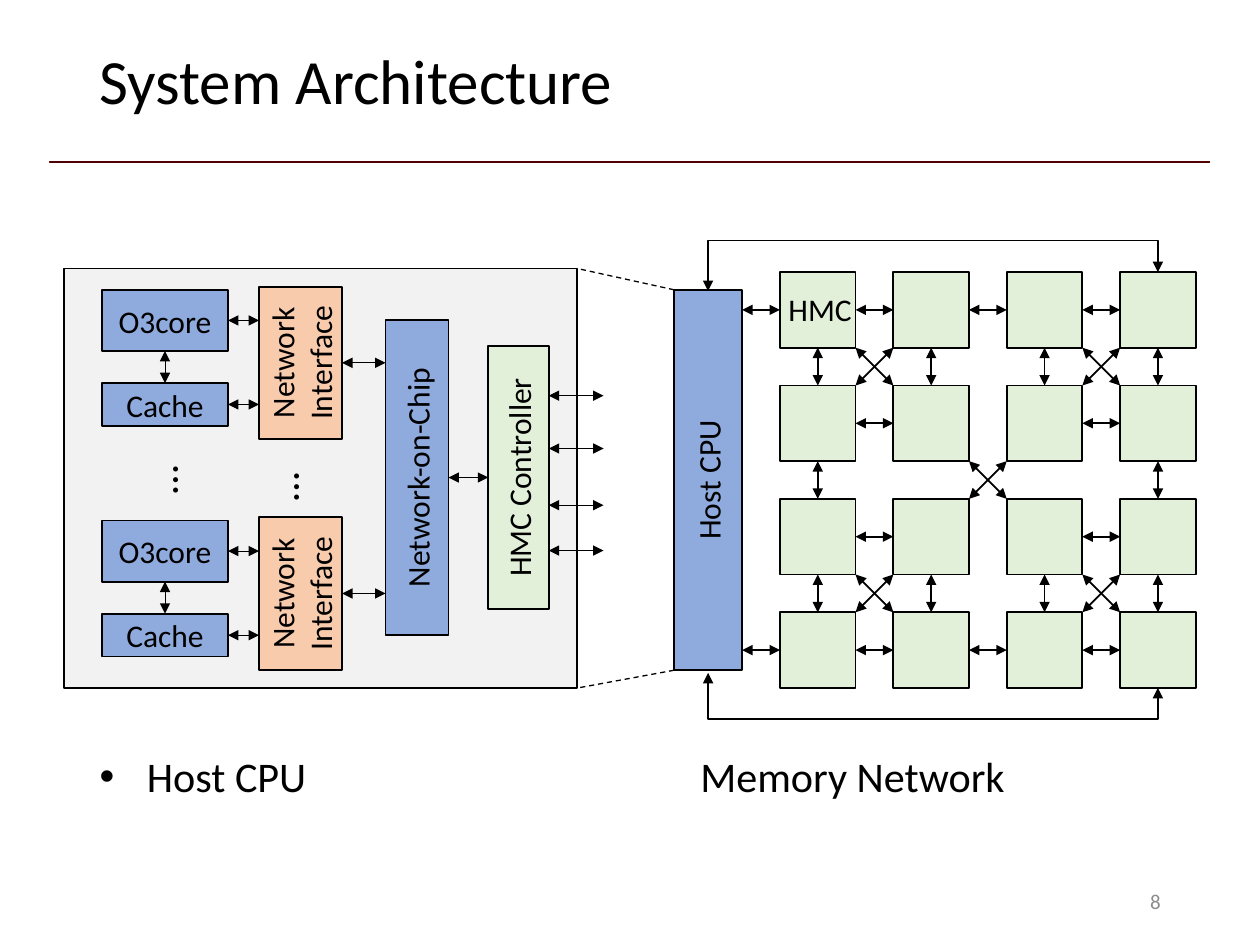
"""Build the System Architecture slide: a host CPU block diagram beside its memory network."""
from dataclasses import dataclass
from enum import IntEnum
from itertools import product
from typing import Any, NamedTuple, Optional

from lxml.etree import SubElement
from pptx import Presentation
from pptx.dml.color import RGBColor as Rgb
from pptx.enum.dml import MSO_LINE_DASH_STYLE as Dash
from pptx.enum.shapes import MSO_CONNECTOR_TYPE as Wire, MSO_SHAPE as Preset
from pptx.enum.text import MSO_ANCHOR as Anchor, MSO_AUTO_SIZE as Fit, PP_ALIGN as Align
from pptx.oxml.ns import qn
from pptx.util import Pt


@dataclass(frozen=True)
class Theme:
    font: str = "Calibri"
    ink: str = "000000"
    rule: str = "500000"
    panel: str = "F2F2F2"
    blue: str = "8FAADC"
    green: str = "E2F0D9"
    orange: str = "F8CBAD"
    gray: str = "8C8C8C"
    title: float = 36
    caption: float = 24.1
    dots: float = 24
    label: float = 18
    number: float = 12
    thick: float = 1
    dashed: float = 0.75
    thin: float = 0.5


class Side(IntEnum):
    TOP = 0
    LEFT = 1
    BOTTOM = 2
    RIGHT = 3


class Box(NamedTuple):
    left: float
    top: float
    width: float
    height: float

    def turned(self) -> "Box":
        shift = (self.width - self.height) / 2
        return Box(self.left + shift, self.top - shift, self.height, self.width)


class Port(NamedTuple):
    x: float
    y: float
    shape: Any = None
    site: int = 0


@dataclass(frozen=True)
class Node:
    shape: Any
    box: Box
    upright: bool

    def port(self, side: Side) -> Port:
        left, top, width, height = self.box
        x = left + width * {Side.LEFT: 0, Side.RIGHT: 1}.get(side, 0.5)
        y = top + height * {Side.TOP: 0, Side.BOTTOM: 1}.get(side, 0.5)
        return Port(x, y, self.shape, (side + 3) % 4 if self.upright else int(side))


THEME = Theme()
CELL, PITCH = 43.2, 64.8
GRID_LEFT, GRID_TOP = 445.7, 155.5
BLOCK_PITCH = 131.8


def write(frame: Any, text: str, size: float, color: str = THEME.ink,
          align: Optional[Align] = None, spacing: Optional[float] = None) -> None:
    frame.text = text
    for para in frame.paragraphs:
        para.alignment = align
        para.line_spacing = spacing
        for span in para.runs:
            span.font.name, span.font.size = THEME.font, Pt(size)
            span.font.color.rgb = Rgb.from_string(color)


def place(shape: Any, box: Box) -> None:
    shape.left, shape.top, shape.width, shape.height = map(Pt, box)


def add_node(page: Any, box: Box, fill: str, text: str = "", upright: bool = False,
             line: str = THEME.ink) -> Node:
    frame_box = box.turned() if upright else box
    shape = page.shapes.add_shape(Preset.RECTANGLE, *map(Pt, frame_box))
    shape.rotation = 270 if upright else 0
    shape.shadow.inherit = False
    shape.fill.solid()
    shape.fill.fore_color.rgb = Rgb.from_string(fill)
    shape.line.color.rgb = Rgb.from_string(line)
    shape.line.width = Pt(THEME.thick)
    if text:
        shape.text_frame.vertical_anchor = Anchor.MIDDLE
        write(shape.text_frame, text, THEME.label, align=Align.CENTER)
    return Node(shape, box, upright)


def add_text(page: Any, box: Box, text: str, size: float, wrap: bool = True,
             rotation: float = 0, **style: Any) -> Any:
    shape = page.shapes.add_textbox(*map(Pt, box))
    shape.rotation = rotation
    shape.text_frame.word_wrap = wrap
    write(shape.text_frame, text, size, **style)
    return shape


def style_line(connector: Any, width: float, dashed: bool = False) -> None:
    connector.line.color.rgb = Rgb.from_string(THEME.ink)
    connector.line.width = Pt(width)
    properties = connector._element.spPr
    if dashed:
        connector.line.dash_style = Dash.DASH
    else:
        for end in ("a:headEnd", "a:tailEnd"):
            SubElement(properties.find(qn("a:ln")), qn(end), type="triangle")
    SubElement(properties, qn("a:effectLst"))


def link(page: Any, start: Port, end: Port, width: float = THEME.thick, dashed: bool = False) -> None:
    points = tuple(map(Pt, (start.x, start.y, end.x, end.y)))
    connector = page.shapes.add_connector(Wire.STRAIGHT, *points)
    if start.shape is not None:
        connector.begin_connect(start.shape, start.site)
    if end.shape is not None:
        connector.end_connect(end.shape, end.site)
    connector.begin_x, connector.begin_y, connector.end_x, connector.end_y = points
    style_line(connector, width, dashed)


def detour(page: Any, start: Port, end: Port, level: float) -> None:
    """Draw a three-part elbow that leaves vertically and crosses at the given level."""
    rise, run = abs(end.y - start.y), end.x - start.x
    mid_x, mid_y = (start.x + end.x) / 2, (start.y + end.y) / 2
    upward = level < start.y
    first, last = (mid_y + run / 2, mid_y - run / 2)[::1 if upward else -1]
    connector = page.shapes.add_connector(
        Wire.ELBOW, Pt(mid_x + rise / 2), Pt(first), Pt(mid_x - rise / 2), Pt(last))
    properties = connector._element.spPr
    properties.find(qn("a:xfrm")).set("rot", str((90 if upward else 270) * 60000))
    guides = properties.find(qn("a:prstGeom")).find(qn("a:avLst"))
    ratio = round(abs(level - start.y) / rise * 100000)
    SubElement(guides, qn("a:gd"), name="adj1", fmla=f"val {ratio}")
    style_line(connector, THEME.thick)


def caption(shape: Any, text: str) -> None:
    frame = shape.text_frame
    frame.word_wrap, frame.auto_size = True, Fit.NONE
    frame.text = text
    properties = frame.paragraphs[0]._p.get_or_add_pPr()
    properties.set("marL", str(Pt(72)))
    properties.set("indent", "0")
    SubElement(properties, qn("a:buNone"))
    frame.paragraphs[0].space_before = Pt(0)
    write(frame, text, THEME.caption, spacing=0.85)


def draw_host(page: Any) -> None:
    chip = add_node(page, Box(220.3, 182.9, 36, 180), THEME.blue, "Network-on-Chip", True)
    controller = add_node(page, Box(279, 197.6, 34.6, 150.5), THEME.green, "HMC Controller", True)
    for shift in (0, BLOCK_PITCH):
        core = add_node(page, Box(58.3, 165.6, 72, 35)._replace(top=165.6 + shift), THEME.blue, "O3core")
        cache = add_node(page, Box(58.3, 218.9 + shift, 72, 24.5), THEME.blue, "Cache")
        interface = add_node(page, Box(148, 163.8 + shift, 47.5, 87.1), THEME.orange,
                             "Network\nInterface", True)
        link(page, core.port(Side.BOTTOM), cache.port(Side.TOP), THEME.thin)
        for source in (core, cache):
            start = source.port(Side.RIGHT)
            link(page, start, Port(interface.box.left, start.y), THEME.thin)
        start = interface.port(Side.RIGHT)
        link(page, start, Port(chip.box.left, start.y), THEME.thin)
    link(page, chip.port(Side.RIGHT), controller.port(Side.LEFT), THEME.thin)
    for y in (226.1, 256.3, 288.7, 314.6):
        link(page, Port(controller.port(Side.RIGHT).x, y), Port(344.9, y), THEME.thin)
    for left, top in ((76.3, 255.6), (145.4, 259.9)):
        add_text(page, Box(left, top, 31.7, 36), "…", THEME.dots, wrap=False, rotation=270)


def draw_memory(page: Any, host: Node) -> None:
    cells = {(row, col): add_node(page, Box(GRID_LEFT + col * PITCH, GRID_TOP + row * PITCH, CELL, CELL),
                                  THEME.green) for row, col in product(range(4), repeat=2)}
    for major, minor in product(range(4), range(3)):
        if minor != 1 or major in (0, 3):
            link(page, cells[major, minor].port(Side.RIGHT), cells[major, minor + 1].port(Side.LEFT))
            link(page, cells[minor, major].port(Side.BOTTOM), cells[minor + 1, major].port(Side.TOP))
    for row, col in ((0, 0), (0, 2), (1, 1), (2, 0), (2, 2)):
        x, y = GRID_LEFT + col * PITCH + CELL, GRID_TOP + row * PITCH + CELL
        gap = PITCH - CELL
        link(page, Port(x, y), Port(x + gap, y + gap))
        link(page, Port(x + gap, y), Port(x, y + gap))
    for row in (0, 3):
        end = cells[row, 0].port(Side.LEFT)
        link(page, Port(host.port(Side.RIGHT).x, end.y), end)
    middle = host.port(Side.TOP).x
    detour(page, Port(middle, 166.3), cells[0, 3].port(Side.TOP), 137.5)
    detour(page, Port(middle, 384.5), cells[3, 3].port(Side.BOTTOM), 411.1)
    add_text(page, Box(443.5, 162, 54.7, 29), "HMC", THEME.label)


def main() -> None:
    deck = Presentation()
    deck.slide_width, deck.slide_height = Pt(720), Pt(540)
    page = deck.slides.add_slide(deck.slide_layouts[1])
    title, body = page.placeholders
    place(title, Box(49.7, 15.8, 620.6, 64))
    title.text_frame.vertical_anchor, title.text_frame.auto_size = Anchor.MIDDLE, Fit.NONE
    write(title.text_frame, "System Architecture", THEME.title, align=Align.LEFT, spacing=0.9)
    caption_box = Box(49.7, 429.8, 279.4, 57.6)
    place(body, caption_box)
    caption(body, "Host CPU")
    memory_box = caption_box._replace(left=393.1)
    caption(page.shapes.add_textbox(*map(Pt, memory_box)), "Memory Network")
    number = add_text(page, Box(508.3, 500.4, 162, 28.8), "8", THEME.number,
                      color=THEME.gray, align=Align.RIGHT)
    number.text_frame.vertical_anchor = Anchor.MIDDLE

    add_node(page, Box(28.8, 92.2, 662.4, 0.7), THEME.rule, line=THEME.rule)
    panel = add_node(page, Box(36.7, 153.4, 293, 239.8), THEME.panel).box
    host = add_node(page, Box(385.2, 165.6, 38.9, 217.4), THEME.blue, "Host CPU", True)
    for drop in (0, 1):
        link(page, Port(host.box.left, host.box.top + drop * host.box.height),
             Port(panel.left + panel.width, panel.top + drop * panel.height), THEME.dashed, dashed=True)
    draw_host(page)
    draw_memory(page, host)
    deck.save("out.pptx")


if __name__ == "__main__":
    main()
